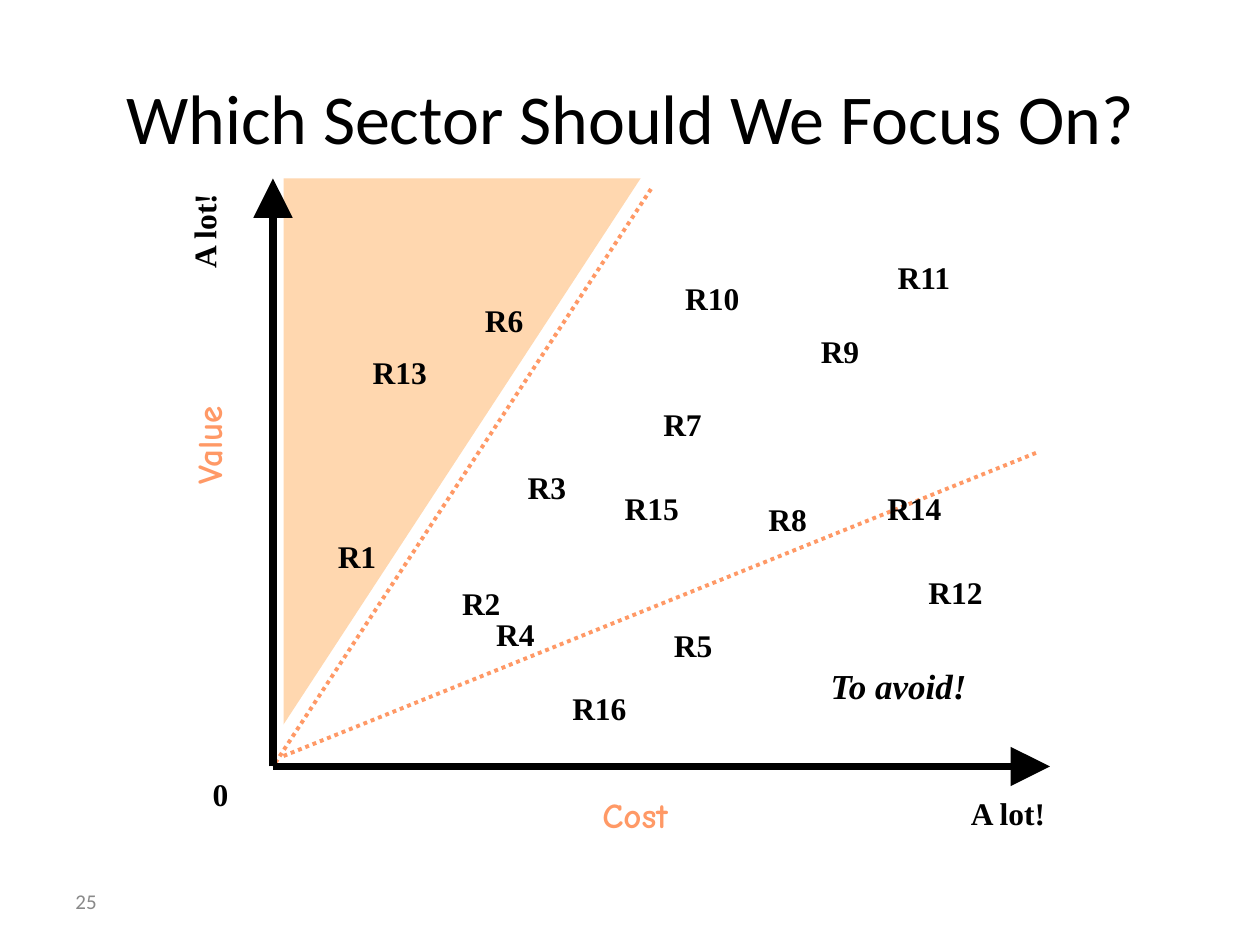
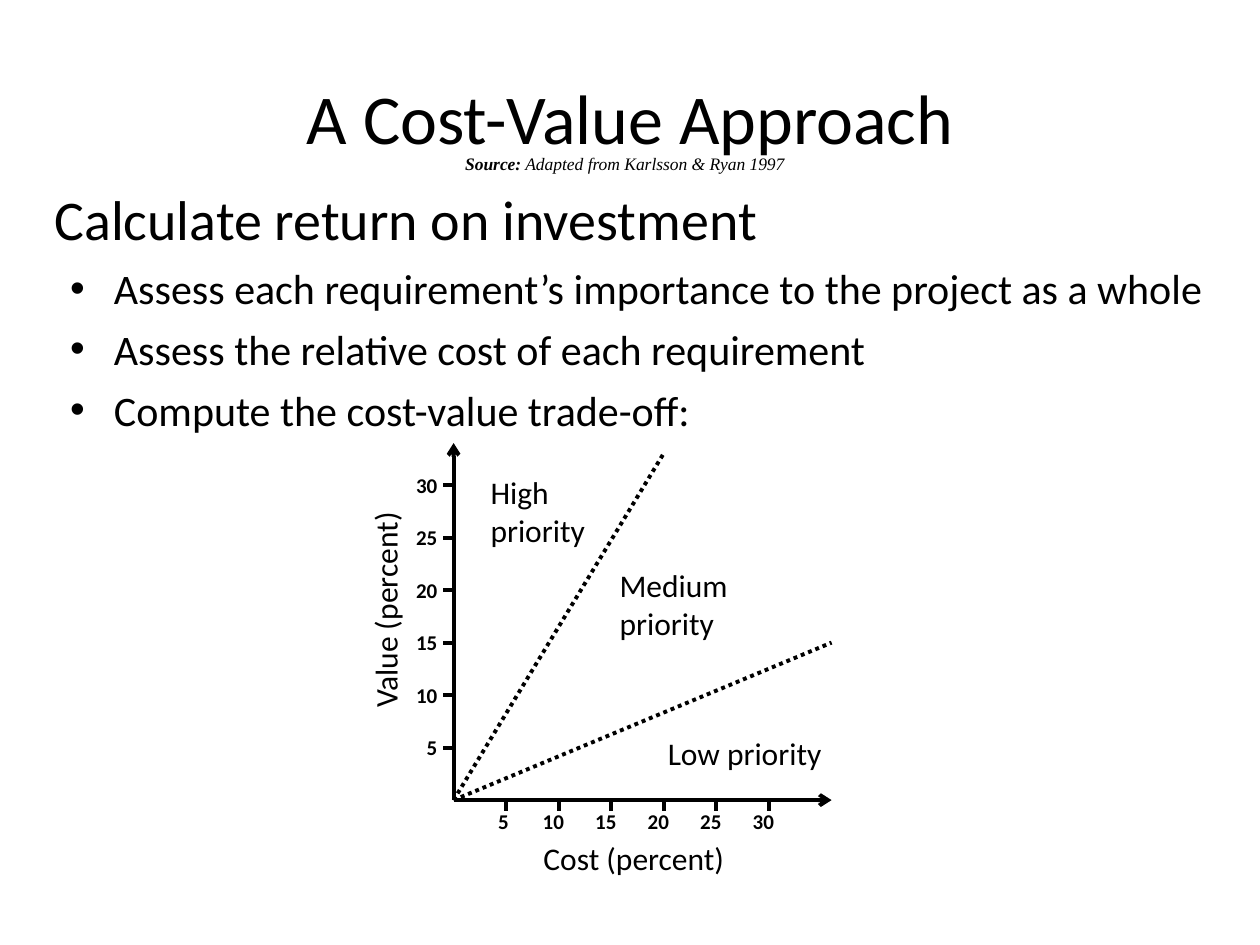
from dataclasses import dataclass

import pptx
import pptx.dml.color
import pptx.enum.dml
import pptx.enum.shapes
import pptx.enum.text
import pptx.oxml.ns
import pptx.util
from lxml import etree

Pt = pptx.util.Pt
ALIGN = pptx.enum.text.PP_ALIGN
ANCHOR = pptx.enum.text.MSO_ANCHOR
DOTTED = pptx.enum.dml.MSO_LINE.ROUND_DOT
qn = pptx.oxml.ns.qn


@dataclass(frozen=True)
class Theme:
    ink: str = "000000"
    accent: str = "FF9966"
    sector: str = "FFD7AF"
    muted: str = "898989"
    sans: str = "Calibri"
    serif: str = "Times New Roman"
    hand: str = "Comic Neue"
    title: int = 40
    lead: int = 32
    bullet: int = 24
    emphasis: int = 20
    label: int = 18
    small: int = 12
    source: int = 10
    axis: float = 4.5
    line: float = 2.25


class Deck:
    def __init__(self, theme):
        self.theme = theme
        self.show = pptx.Presentation()
        self.show.slide_width, self.show.slide_height = Pt(720), Pt(540)
        self.slide = None

    def new_slide(self, title):
        self.slide = self.show.slides.add_slide(self.show.slide_layouts[6])
        self.label(title, 360, 66.5, 648, 90, self.theme.title)

    def box(self, x, y, width, height, anchor=ANCHOR.MIDDLE, wrap=False):
        area = self.slide.shapes.add_textbox(Pt(x), Pt(y), Pt(width), Pt(height))
        area.text_frame.vertical_anchor = anchor
        area.text_frame.word_wrap = wrap
        return area

    def style(self, paragraph, size, font=None, color=None, bold=False, italic=False):
        for run in paragraph.runs:
            run.font.size = Pt(size)
            run.font.name = font or self.theme.sans
            run.font.bold, run.font.italic = bold, italic
            run.font.color.rgb = pptx.dml.color.RGBColor.from_string(color or self.theme.ink)

    def label(self, text, cx, cy, width, height, size, align=ALIGN.CENTER, turn=0, **look):
        area = self.box(cx - width / 2, cy - height / 2, width, height)
        area.rotation = turn
        area.text_frame.text = text
        for paragraph in area.text_frame.paragraphs:
            paragraph.alignment = align
            self.style(paragraph, size, **look)
        return area

    def mark(self, text, cx, cy, width, turn=0):
        self.label(text, cx, cy, width, 29, self.theme.label, turn=turn,
                   font=self.theme.serif, bold=True)

    def axis_name(self, text, cx, cy, turn=0):
        self.label(text, cx, cy, 102, 31.5, self.theme.emphasis, turn=turn,
                   font=self.theme.hand, color=self.theme.accent, bold=True)

    def line(self, start, end, color=None, width=None, dash=None, head=None, head_size="med"):
        stroke = self.slide.shapes.add_connector(
            pptx.enum.shapes.MSO_CONNECTOR.STRAIGHT, *map(Pt, (*start, *end)))
        stroke.line.color.rgb = pptx.dml.color.RGBColor.from_string(color or self.theme.ink)
        stroke.line.width = Pt(width or self.theme.line)
        if dash:
            stroke.line.dash_style = dash
        properties = stroke._element.spPr
        if head:
            etree.SubElement(properties.find(qn("a:ln")), qn("a:tailEnd"),
                             type=head, w=head_size, len=head_size)
        etree.SubElement(properties, qn("a:effectLst"))

    def area(self, points, color):
        outline = self.slide.shapes.build_freeform(Pt(points[0][0]), Pt(points[0][1]))
        outline.add_line_segments([(Pt(x), Pt(y)) for x, y in points[1:]], close=True)
        region = outline.convert_to_shape()
        region.shadow.inherit = False
        region.fill.solid()
        region.fill.fore_color.rgb = pptx.dml.color.RGBColor.from_string(color)
        region.line.fill.background()

    def outline(self, lead, points, x, y, width, height):
        frame = self.box(x, y, width, height, ANCHOR.TOP, True).text_frame
        frame.text = "\n".join([lead, *points])
        first, *rest = frame.paragraphs
        self.style(first, self.theme.lead)
        for paragraph in rest:
            paragraph.space_before = Pt(6)
            properties = paragraph._p.get_or_add_pPr()
            properties.set("marL", str(Pt(34)))
            properties.set("indent", str(-Pt(25)))
            etree.SubElement(properties, qn("a:buFont"), typeface="Arial")
            etree.SubElement(properties, qn("a:buChar"), char="•")
            self.style(paragraph, self.theme.bullet)


def sector_slide(deck):
    theme = deck.theme
    deck.new_slide("Which Sector Should We Focus On?")
    deck.label("25", 120, 515, 168, 29, theme.small, ALIGN.LEFT, color=theme.muted)
    deck.area([(162, 127.5), (162, 414), (366, 102), (162, 102)], theme.sector)

    origin = (156, 438)
    deck.line((372, 108), origin, theme.accent, dash=DOTTED)
    deck.line((162, 432), (594, 258), theme.accent, dash=DOTTED)
    for tip in ((600, 438), (156, 102)):
        deck.line(origin, tip, width=theme.axis, head="triangle", head_size="lg")

    deck.mark("0", 126, 453.5, 24)
    deck.mark("A lot!", 576, 464.5, 60)
    deck.axis_name("Cost", 363, 465.5)
    deck.mark("A lot!", 116.5, 132, 60, 270)
    deck.axis_name("Value", 119, 254.5, 270)

    requirements = [
        (204, 317.5), (275, 344.5), (312.5, 278.5), (294.5, 362),
        (396, 368.5), (288, 182.5), (390, 242.5), (450, 296.5),
        (480, 200.5), (407, 170.5), (528, 158.5), (546, 338.5),
        (228.5, 212.5), (522.5, 290), (372.5, 290), (342.5, 404.5),
    ]
    for number, (cost, value) in enumerate(requirements, 1):
        deck.mark(f"R{number}", cost, value, 38 if number < 10 else 48)
    deck.label("To avoid!", 513.5, 392, 96, 31.5, theme.emphasis,
               font=theme.serif, bold=True, italic=True)


def approach_slide(deck):
    theme = deck.theme
    deck.new_slide("A Cost-Value Approach")
    deck.outline("Calculate return on investment", [
        "Assess each requirement’s importance to the project as a whole",
        "Assess the relative cost of each requirement",
        "Compute the cost-value trade-off:",
    ], 24, 102, 672, 174)

    left, base, step, tick = 259.2, 457.2, 30, 6
    for end in ((475.2, 367.2), (379.2, 259.2)):
        deck.line((left, base), end, dash=DOTTED)
    for end in ((475.2, base), (left, 253.2)):
        deck.line((left, base), end, head="arrow")

    for count in range(1, 7):
        percent = str(5 * count)
        x, y = left + step * count, base - step * count
        deck.line((x, base + tick), (x, base))
        deck.line((left - tick, y), (left, y))
        width = 14 + 6.5 * len(percent)
        deck.label(percent, x - 1.5 * len(percent), 469.5, width, 21.5, theme.small, bold=True)
        deck.label(percent, 257 - width / 2, y, width, 21.5, theme.small, ALIGN.RIGHT, bold=True)

    for text, cx, cy, width, height, turn in (
        ("Cost (percent)", 363, 490.5, 119, 29, 0),
        ("Value (percent)", 220, 347.5, 128, 29, 270),
        ("Low priority", 427, 430, 105, 29, 0),
        ("Medium\npriority", 385.5, 345, 77, 50.5, 0),
        ("High\vpriority", 308, 292, 69.5, 50.5, 0),
    ):
        deck.label(text, cx, cy, width, height, theme.label, ALIGN.LEFT, turn)

    credit = deck.label("Source:", 357, 93.5, 654, 19.5, theme.source)
    paragraph = credit.text_frame.paragraphs[0]
    paragraph.add_run().text = " Adapted from Karlsson & Ryan 1997"
    deck.style(paragraph, theme.source, theme.serif, italic=True)
    paragraph.runs[0].font.bold = True


def main():
    deck = Deck(Theme())
    sector_slide(deck)
    approach_slide(deck)
    deck.show.save("out.pptx")


if __name__ == "__main__":
    main()
